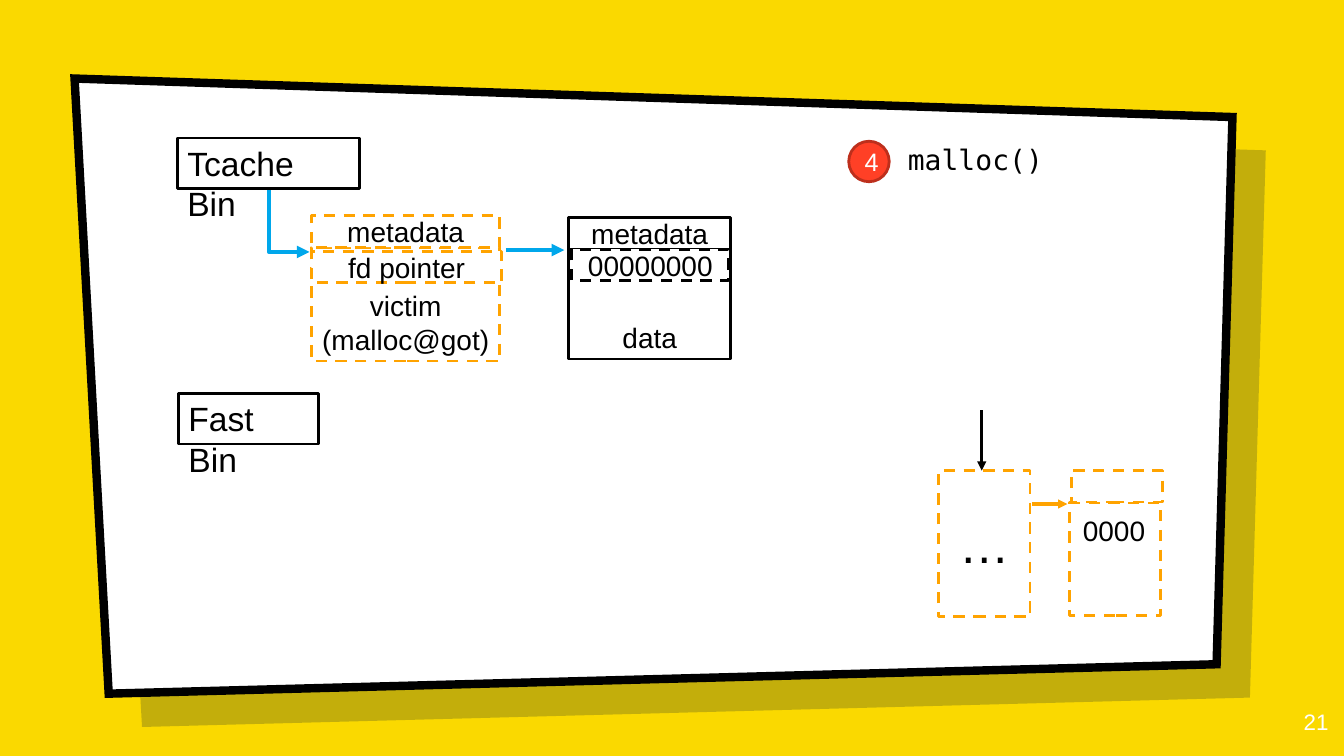
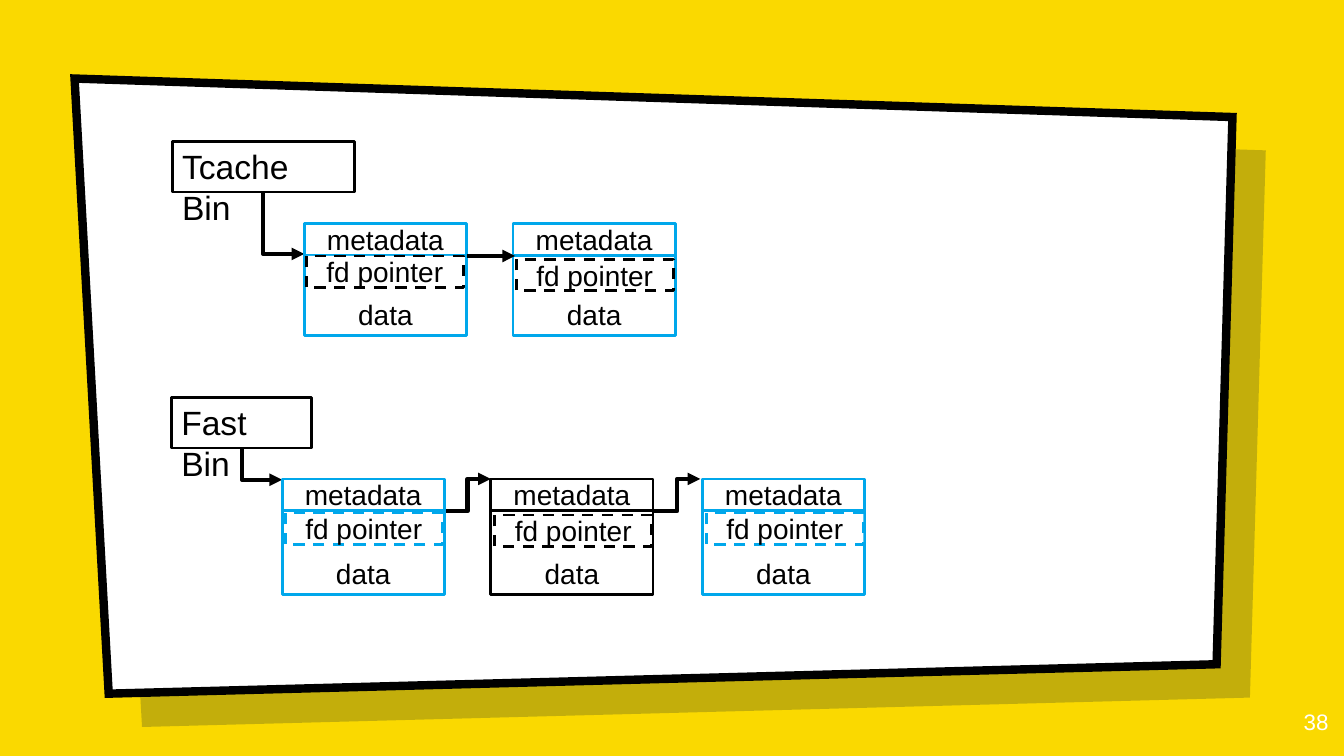
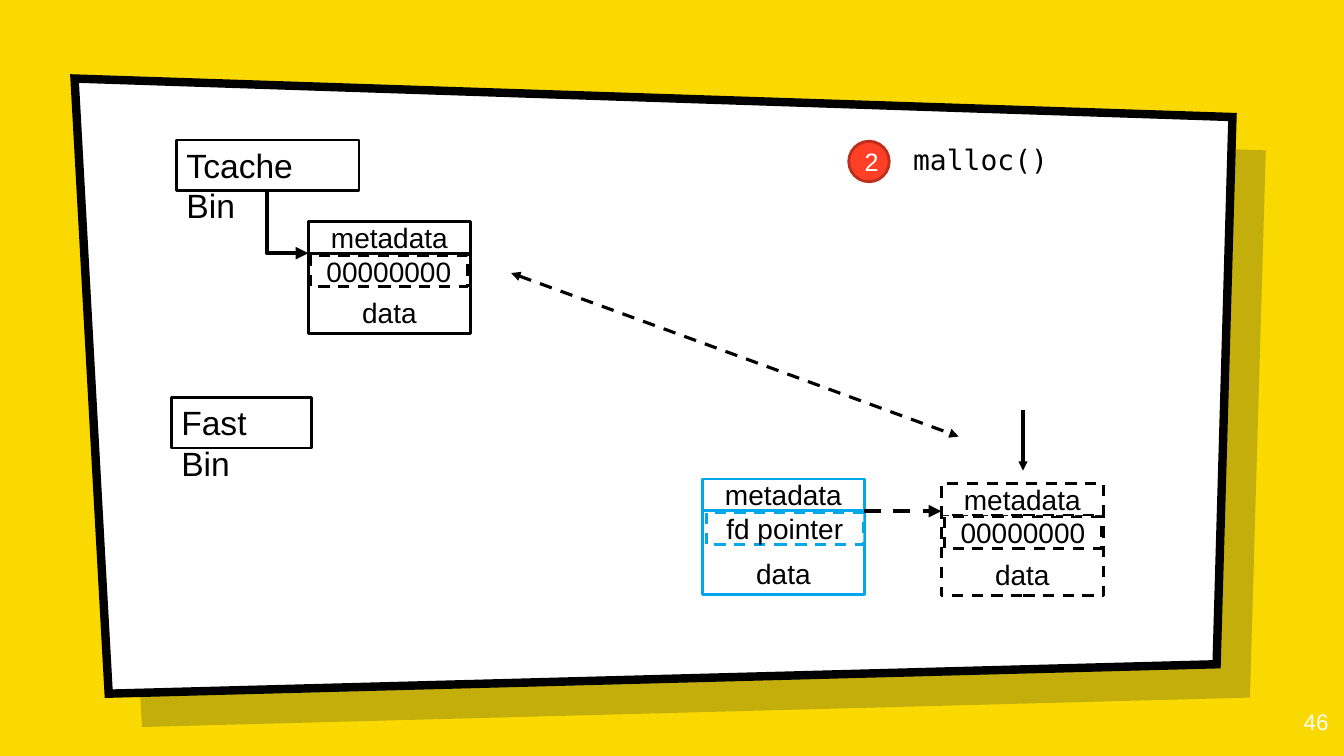
from lxml import etree
from pptx import Presentation
from pptx.dml.color import RGBColor
from pptx.enum.dml import MSO_LINE
from pptx.enum.shapes import MSO_CONNECTOR, MSO_SHAPE
from pptx.enum.text import MSO_ANCHOR, PP_ALIGN
from pptx.oxml.ns import qn
from pptx.util import Cm, Pt

RECT, OVAL = MSO_SHAPE.RECTANGLE, MSO_SHAPE.OVAL
STRAIGHT, ELBOW = MSO_CONNECTOR.STRAIGHT, MSO_CONNECTOR.ELBOW
LEFT, CENTER, RIGHT = PP_ALIGN.LEFT, PP_ALIGN.CENTER, PP_ALIGN.RIGHT
TOP, MIDDLE, BOTTOM = MSO_ANCHOR.TOP, MSO_ANCHOR.MIDDLE, MSO_ANCHOR.BOTTOM
DASH = MSO_LINE.DASH

COLORS = {
    "yellow": "FAD900", "navy": "001936", "white": "FFFFFF", "black": "000000",
    "blue": "00A7EB", "orange": "FFA300", "red": "FF4026", "brick": "BD2F1C",
}
SANS, MONO = "Arial", "DejaVu Sans Mono"
PANEL = [(1.88, 1.98), (31.06, 2.95), (30.66, 16.74), (2.74, 17.48)]
SHIFT = 0.84            # offset of the panel's shadow
WIDE, FIELD, ROW = 4.09, 3.96, 0.79   # chunk width, pointer width, row height


def color(name):
    return RGBColor.from_string(COLORS[name])


def write(frame, text, size=20, font=SANS, ink="black", align=CENTER,
          anchor=MIDDLE):
    """Put text in a frame, one paragraph for each line."""
    frame.word_wrap = True
    frame.vertical_anchor = anchor
    for i, line in enumerate(text.split("\n")):
        para = frame.add_paragraph() if i else frame.paragraphs[0]
        para.alignment = align
        run = para.add_run()
        run.text = line
        run.font.size, run.font.name = Pt(size), font
        run.font.color.rgb = color(ink)


class Deck:
    def __init__(self):
        self.prs = Presentation()
        self.prs.slide_width, self.prs.slide_height = Cm(33.87), Cm(19.05)
        self.slide = None

    def page(self, number):
        """Start a slide with its background, panel and number."""
        self.slide = self.prs.slides.add_slide(self.prs.slide_layouts[6])
        back = self.slide.background.fill
        back.solid()
        back.fore_color.rgb = color("yellow")
        shade = self.outline([(x + SHIFT, y + SHIFT) for x, y in PANEL])
        self.paint(shade, "navy", None)
        tint = shade.fill._xPr.find(qn("a:solidFill"))[0]
        etree.SubElement(tint, qn("a:alpha"), val="22000")
        panel = self.outline(PANEL)
        self.paint(panel, "white", "black", 6)
        etree.SubElement(panel.line._get_or_add_ln(), qn("a:miter"), lim="800000")
        note = self.note(31.7, 17.6, 2.03, 1.45, str(number), size=16,
                         ink="white", align=RIGHT, anchor=TOP)
        note.margin_top = note.margin_bottom = Cm(0.25)

    def outline(self, points):
        spots = [(Cm(x), Cm(y)) for x, y in points]
        form = self.slide.shapes.build_freeform(*spots[0])
        form.add_line_segments(spots[1:], close=True)
        return form.convert_to_shape()

    def paint(self, shape, fill, line, width=2, dash=None):
        shape.shadow.inherit = False
        shape.fill.solid()
        shape.fill.fore_color.rgb = color(fill)
        if line is None:
            shape.line.fill.background()
            return
        shape.line.color.rgb = color(line)
        shape.line.width = Pt(width)
        if dash:
            shape.line.dash_style = dash

    def note(self, x, y, w, h, text, **style):
        box = self.slide.shapes.add_textbox(Cm(x), Cm(y), Cm(w), Cm(h))
        write(box.text_frame, text, **style)
        return box.text_frame

    def box(self, x, y, w, h, text="", line="black", dash=None, fill="white",
            kind=RECT, **style):
        shape = self.slide.shapes.add_shape(kind, Cm(x), Cm(y), Cm(w), Cm(h))
        self.paint(shape, fill, line, dash=dash)
        if text:
            write(shape.text_frame, text, **style)

    def bin(self, x, y, w, text):
        self.box(x, y, w, 1.28, text, size=24, align=LEFT, anchor=TOP)

    def bins(self, tcache, fast):
        self.bin(*tcache, 4.6, "Tcache Bin")
        self.bin(*fast, 3.53, "Fast Bin")

    def chunk(self, x, y, high, text, dx, dy, line="black", inner=None,
              dash=None, wide=WIDE, field=FIELD, data="data"):
        """A heap chunk: metadata row, data part and dashed field."""
        self.box(x, y + ROW, wide, high, data, line, dash, anchor=BOTTOM)
        self.box(x, y, wide, ROW, "metadata", line, dash)
        self.box(x + dx, y + dy, field, ROW, text, inner or line, DASH)

    def arrow(self, x1, y1, x2, y2, line="black", width=3.0, dash=None,
              both=False, kind=STRAIGHT):
        link = self.slide.shapes.add_connector(kind, Cm(x1), Cm(y1), Cm(x2), Cm(y2))
        link.line.color.rgb = color(line)
        link.line.width = Pt(width)
        if dash:
            link.line.dash_style = dash
        ln = link.line._get_or_add_ln()
        for end in ["headEnd", "tailEnd"] if both else ["tailEnd"]:
            etree.SubElement(ln, qn("a:" + end), type="triangle")
        etree.SubElement(link._element.spPr, qn("a:effectLst"))
        return link

    def corner(self, x1, y1, x2, y2, line="black"):
        """An arrow that goes down, then right: a turned one-bend connector."""
        cx, cy = (x1 + x2) / 2, (y1 + y2) / 2
        dx, dy = (x2 - x1) / 2, (y2 - y1) / 2
        link = self.arrow(cx + dy, cy - dx, cx - dy, cy + dx, line, kind=ELBOW)
        props = link._element.spPr
        props.find(qn("a:xfrm")).set("rot", "16200000")
        props.find(qn("a:prstGeom")).set("prst", "bentConnector2")

    def step(self, number, x, w):
        self.box(21.39, 3.56, 1.02, 1.02, number, "brick", fill="red",
                 kind=OVAL, size=18, ink="white")
        self.box(x, 3.35, w, 1.35, "malloc()", None, font=MONO, align=LEFT)


def main():
    deck = Deck()

    # Fourth call: the victim sits in the tcache list
    deck.page(21)
    deck.corner(6.78, 4.78, 7.8, 6.35, "blue")
    deck.bins((4.47, 3.48), (4.5, 9.91))
    deck.chunk(14.33, 5.49, 2.77, "00000000", 0.08, ROW)
    deck.chunk(7.85, 5.44, 2.87, "fd pointer", 0, 0.89, "orange", dash=DASH,
               wide=4.75, field=4.8, data="victim\n(malloc@got)")
    deck.arrow(12.75, 6.3, 14.22, 6.3, "blue")
    deck.step("4", 22.63, 5.84)
    deck.arrow(26.01, 12.7, 26.9, 12.7, "orange", 2.25)
    deck.box(23.65, 11.86, 2.31, 3.68, "…", "orange", DASH, size=36)
    deck.box(26.95, 12.67, 2.29, 2.84, "", "orange", DASH)
    deck.box(27, 11.86, 2.29, ROW, "", "orange", DASH)
    deck.note(26.92, 12.7, 2.31, 1.35, "0000")
    deck.arrow(24.74, 10.34, 24.74, 11.86, width=2.25)

    # Both lists filled
    deck.page(38)
    deck.corner(6.63, 4.85, 7.67, 6.4)
    deck.bins((4.34, 3.56), (4.32, 10.01))
    for x, dx, dy in [(7.67, 0.05, 0.81), (12.93, 0.08, 0.89)]:
        deck.chunk(x, 5.64, 2.03, "fd pointer", dx, dy, "blue", "black")
    deck.arrow(11.76, 6.45, 12.98, 6.45)
    deck.corner(6.1, 11.28, 7.11, 12.09)
    for x in (11.2, 16.48):
        deck.arrow(x, 12.88, x + 1.17, 12.07, kind=ELBOW)
    for x, dx, dy, line in [(7.11, 0.08, 0.86, "blue"), (12.37, 0.1, 0.91, "black"),
                            (17.7, 0.1, 0.86, "blue")]:
        deck.chunk(x, 12.07, 2.13, "fd pointer", dx, dy, line)

    # Second call: the last chunk moves to the tcache list
    deck.page(46)
    deck.bins((4.45, 3.53), (4.32, 10.01))
    deck.chunk(17.7, 12.07, 2.13, "fd pointer", 0.1, 0.86, "blue")
    deck.step("2", 22.76, 6.86)
    deck.corner(6.73, 4.83, 7.77, 6.38)
    deck.chunk(7.77, 5.59, 2.03, "00000000", 0.05, 0.84)
    deck.chunk(23.72, 12.19, 2.03, "00000000", 0.08, 0.84, dash=DASH)
    deck.arrow(25.78, 10.34, 25.78, 11.86, width=2.25)
    deck.arrow(21.77, 12.88, 23.72, 12.88, dash=DASH)
    deck.arrow(12.88, 6.88, 24.16, 11, width=2.25, dash=DASH, both=True)

    deck.prs.save("out.pptx")


if __name__ == "__main__":
    main()
